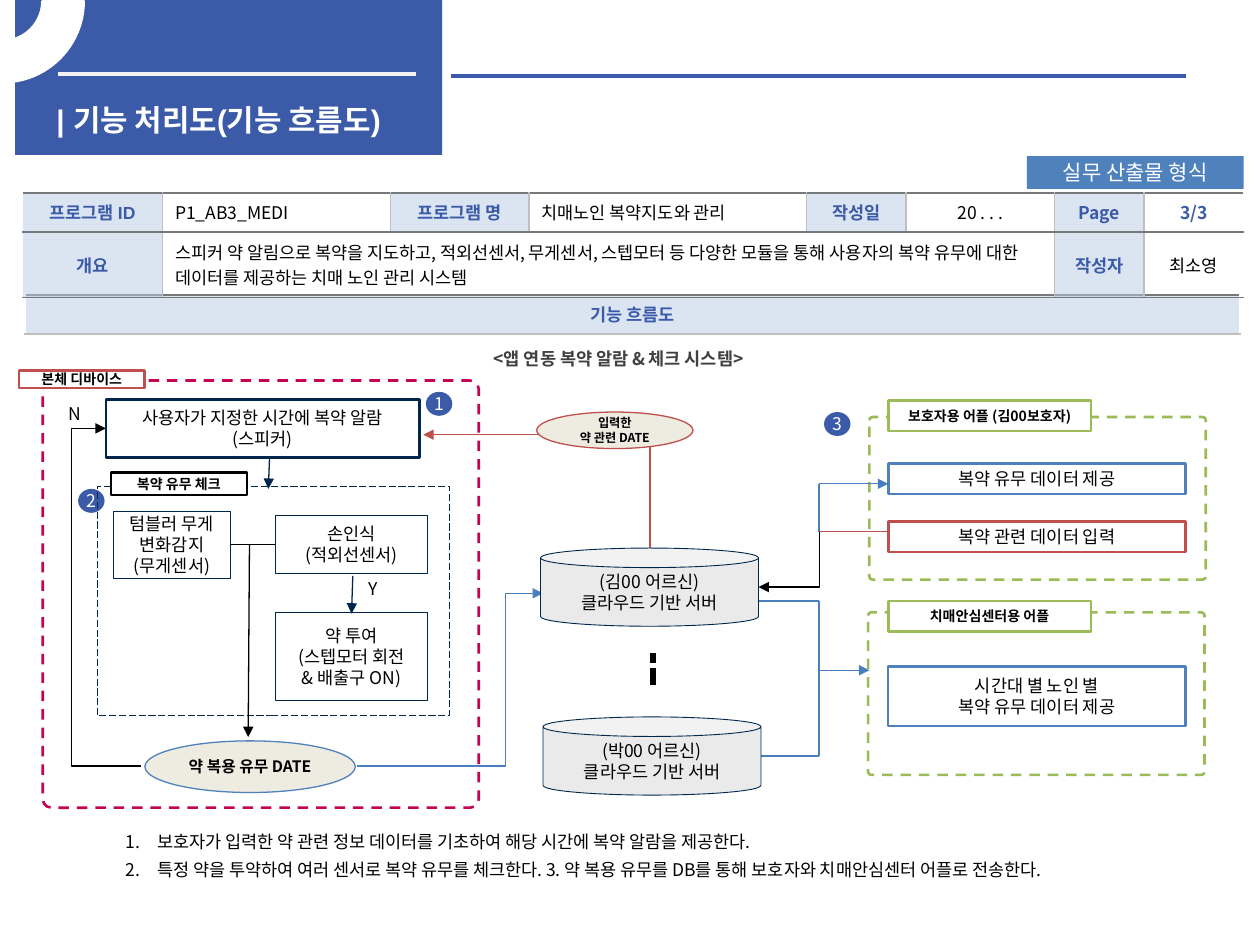
"""Build the slide on the function flow of a medication reminder system."""
from dataclasses import dataclass
from typing import Optional

from lxml import etree
from pptx import Presentation
from pptx import util as u
from pptx.dml.color import RGBColor
from pptx.enum import dml, shapes, text
from pptx.oxml import ns

BODY_FONT, HEAD_FONT = "Noto Sans CJK KR", "Arial"
BLUE, PALE_BLUE = RGBColor(0x3B, 0x5A, 0xA8), RGBColor(0xB9, 0xCD, 0xE5)
MID_BLUE, WIRE_BLUE = RGBColor(0x4F, 0x81, 0xBD), RGBColor(0x4B, 0x7E, 0xBC)
NAVY, GREEN = RGBColor(0x00, 0x26, 0x4C), RGBColor(0x9B, 0xBB, 0x59)
RED, CRIMSON = RGBColor(0xC0, 0x50, 0x4D), RGBColor(0xC4, 0x04, 0x52)
CREAM, SILVER = RGBColor(0xEE, 0xEC, 0xE1), RGBColor(0xEA, 0xEA, 0xEA)
WHITE, OFF_WHITE = RGBColor(0xFF, 0xFF, 0xFF), RGBColor(0xF2, 0xF2, 0xF2)
BLACK, CHARCOAL = RGBColor(0, 0, 0), RGBColor(0x40, 0x40, 0x40)
GREY, LIGHT_GREY = RGBColor(0x77, 0x78, 0x7B), RGBColor(0xBF, 0xBF, 0xBF)
KIND, DASH = shapes.MSO_SHAPE, dml.MSO_LINE
LEFT, CENTER = text.PP_ALIGN.LEFT, text.PP_ALIGN.CENTER
TOP, MIDDLE = text.MSO_ANCHOR.TOP, text.MSO_ANCHOR.MIDDLE
WIDE_INSET, BOX_INSET, BADGE_INSET = (0.1, 0.05), (0.04, 0.04), (0.06, 0.06)


@dataclass
class Box:
    """A preset shape with optional text."""
    at: tuple[float, float, float, float]
    words: str = ""
    line: Optional[RGBColor] = None
    weight: float = 1.5
    fill: Optional[RGBColor] = None
    kind: shapes.MSO_SHAPE = KIND.RECTANGLE
    dash: Optional[dml.MSO_LINE] = None
    size: float = 10
    bold: bool = False
    color: RGBColor = BLACK
    inset: tuple[float, float] = BOX_INSET
    wrap: bool = True
    adjustments: tuple[float, ...] = ()


@dataclass
class Wire:
    """A connector, bent when a preset is named."""
    start: tuple[float, float]
    end: tuple[float, float]
    color: RGBColor = WIRE_BLUE
    weight: float = 0.75
    head: bool = False
    tail: bool = False
    bend: str = ""
    adjust: Optional[float] = None
    dash: Optional[dml.MSO_LINE] = None


@dataclass
class Cell:
    """A table cell, either a shaded heading or a plain value."""
    words: str = ""
    shaded: bool = False
    font: str = BODY_FONT
    color: RGBColor = BLACK
    align: text.PP_ALIGN = CENTER
    bold: bool = False


def heading(words: str, font: str = BODY_FONT) -> Cell:
    """Return a shaded heading cell."""
    return Cell(words, True, font, BLUE, bold=True)


def label(at: tuple[float, float, float, float], words: str, line: RGBColor) -> Box:
    """Return the small name plate of a frame."""
    return Box(at, words, line, fill=WHITE, size=8, bold=True, inset=WIDE_INSET)


def frame(at: tuple[float, float, float, float], line: RGBColor) -> Box:
    """Return a dashed rounded frame."""
    return Box(at, line=line, kind=KIND.ROUNDED_RECTANGLE, dash=DASH.DASH, adjustments=(0.02,))


def badge(left: float, top: float, number: str) -> Box:
    """Return a numbered dot."""
    return Box((left, top, 0.21, 0.19), number, fill=BLUE, kind=KIND.OVAL, color=WHITE, inset=BADGE_INSET, wrap=False)


def server(left: float, top: float, person: str) -> Box:
    """Return a cloud server drum."""
    return Box((left, top, 1.73, 0.62), f"({person} 어르신)\n클라우드 기반 서버", NAVY, 0.5, SILVER, KIND.CAN,
               adjustments=(0.25,))


def write_text(text_frame, words: str, *, size: float = 10, font: str = BODY_FONT, color: RGBColor = BLACK,
               bold: bool = False, align=LEFT, anchor=TOP, inset=WIDE_INSET, wrap: bool = True,
               spacing: float = 1.0, before: float = 0, numbered: bool = False) -> None:
    """Fill a text frame with one paragraph per line of words."""
    text_frame.word_wrap, text_frame.vertical_anchor = wrap, anchor
    text_frame.margin_left = text_frame.margin_right = u.Inches(inset[0])
    text_frame.margin_top = text_frame.margin_bottom = u.Inches(inset[1])
    for index, line in enumerate(words.split("\n")):
        paragraph = text_frame.add_paragraph() if index else text_frame.paragraphs[0]
        paragraph.alignment, paragraph.line_spacing = align, spacing
        if index and before:
            paragraph.space_before = u.Pt(before)
        if numbered:
            properties = paragraph._p.get_or_add_pPr()
            properties.set("marL", str(u.Inches(0.25)))
            properties.set("indent", str(u.Inches(-0.25)))
            etree.SubElement(properties, ns.qn("a:buAutoNum"), type="arabicPeriod")
        run = paragraph.add_run()
        run.text = line
        run.font.size, run.font.bold, run.font.name = u.Pt(size), bold, font
        run.font.color.rgb = color
        etree.SubElement(run._r.rPr, ns.qn("a:ea"), typeface=BODY_FONT)


def draw_box(slide, box: Box):
    """Draw a box and return its shape."""
    shape = slide.shapes.add_shape(box.kind, *map(u.Inches, box.at))
    shape.shadow.inherit = False
    for index, value in enumerate(box.adjustments):
        shape.adjustments[index] = value
    for paint, color in ((shape.fill, box.fill), (shape.line.fill, box.line)):
        if color is None:
            paint.background()
        else:
            paint.solid()
            paint.fore_color.rgb = color
    if box.line is not None:
        shape.line.width, shape.line.dash_style = u.Pt(box.weight), box.dash
    if box.words:
        write_text(shape.text_frame, box.words, size=box.size, bold=box.bold, color=box.color,
                   align=CENTER, anchor=MIDDLE, inset=box.inset, wrap=box.wrap)
    return shape


def draw_wire(slide, wire: Wire) -> None:
    """Draw a straight or bent connector."""
    kind = shapes.MSO_CONNECTOR.ELBOW if wire.bend else shapes.MSO_CONNECTOR.STRAIGHT
    connector = slide.shapes.add_connector(kind, *map(u.Inches, wire.start + wire.end))
    connector.line.color.rgb, connector.line.width = wire.color, u.Pt(wire.weight)
    connector.line.dash_style = wire.dash
    properties = connector._element.spPr
    geometry = properties.find(ns.qn("a:prstGeom"))
    if wire.bend:
        geometry.set("prst", wire.bend)
    if wire.adjust is not None:
        etree.SubElement(geometry.find(ns.qn("a:avLst")), ns.qn("a:gd"), name="adj1",
                         fmla=f"val {round(wire.adjust * 100000)}")
    for tag, shown in (("a:headEnd", wire.head), ("a:tailEnd", wire.tail)):
        if shown:
            etree.SubElement(properties.find(ns.qn("a:ln")), ns.qn(tag), type="triangle")
    etree.SubElement(properties, ns.qn("a:effectLst"))


def fill_cell(cell, content: Cell, **borders: RGBColor) -> None:
    """Give a table cell its borders, fill and text."""
    properties = cell._tc.get_or_add_tcPr()
    for side in "LRTB":
        line = etree.SubElement(properties, ns.qn(f"a:ln{side}"), w=str(u.Pt(1)))
        paint = etree.SubElement(line, ns.qn("a:solidFill"))
        etree.SubElement(paint, ns.qn("a:srgbClr"), val=str(borders[side]))
    cell.fill.background()
    if content.shaded:
        cell.fill.solid()
        cell.fill.fore_color.rgb = PALE_BLUE
        etree.SubElement(properties.find(ns.qn("a:solidFill"))[0], ns.qn("a:alpha"), val="50000")
    if content.words:
        write_text(cell.text_frame, content.words, font=content.font, color=content.color, bold=content.bold,
                   align=content.align)
    cell.vertical_anchor = MIDDLE


def add_grid(slide, left: float, top: float, columns: list[float], rows: list[float]):
    """Add an unbanded table with the given column widths and row heights."""
    size = map(u.Inches, (left, top, sum(columns), sum(rows)))
    table = slide.shapes.add_table(len(rows), len(columns), *size).table
    table.first_row = table.horz_banding = False
    for column, width in zip(table.columns, columns):
        column.width = u.Inches(width)
    for row, height in zip(table.rows, rows):
        row.height = u.Inches(height)
    return table


def draw_tables(slide) -> None:
    """Draw the flow panel and the program details."""
    panel = add_grid(slide, 0.2, 2.34, [9.64], [0.31, 4.15])
    fill_cell(panel.cell(0, 0), heading("기능 흐름도"), L=WHITE, R=WHITE, T=GREY, B=LIGHT_GREY)
    fill_cell(panel.cell(1, 0), Cell(), L=WHITE, R=WHITE, T=LIGHT_GREY, B=WHITE)
    details = add_grid(slide, 0.18, 1.53, [1.11, 1.81, 1.1, 2.2, 0.79, 1.18, 0.71, 0.79], [0.31, 0.52])
    details.cell(1, 1).merge(details.cell(1, 5))
    overview = "스피커 약 알림으로 복약을 지도하고, 적외선센서, 무게센서, 스텝모터 등 다양한 모듈을 통해 사용자의 복약 유무에 대한 데이터를 제공하는 치매 노인 관리 시스템"
    contents = [
        [heading("프로그램 ID", HEAD_FONT), Cell("P1_AB3_MEDI", align=LEFT), heading("프로그램 명"),
         Cell("치매노인 복약지도와 관리", align=LEFT), heading("작성일"), Cell("20 . . ."), heading("Page"),
         Cell("3/3", color=BLUE, bold=True)],
        [heading("개요", HEAD_FONT), Cell(overview, align=LEFT), *[Cell()] * 4, heading("작성자"), Cell("최소영")]]
    for row, cells in enumerate(contents):
        for column, content in enumerate(cells):
            fill_cell(details.cell(row, column), content, L=LIGHT_GREY if column else WHITE,
                      R=WHITE if column == 7 else LIGHT_GREY, T=GREY, B=GREY)


FRAMES = [frame((6.9, 3.31, 2.67, 1.29), GREEN), frame((6.89, 4.86, 2.67, 1.29), GREEN),
          frame((0.34, 3.02, 3.46, 3.39), CRIMSON), badge(0.62, 3.88, "2"), badge(3.38, 3.11, "1"),
          badge(6.54, 3.27, "3"), Box((0.77, 3.86, 2.8, 1.82), line=NAVY, weight=0.5, dash=DASH.LONG_DASH)]
WIRES = [
    Wire((0.46, 0.59), (3.3, 0.59), OFF_WHITE, 2.25), Wire((3.58, 0.6), (9.41, 0.6), BLUE, 2.25),
    Wire((2.14, 3.62), (2.13, 3.88), NAVY, tail=True), Wire((2.8, 4.57), (2.79, 4.87), NAVY, tail=True),
    Wire((2.18, 4.32), (1.83, 4.32), BLACK), Wire((1.98, 4.32), (1.97, 5.85), BLACK, tail=True),
    Wire((1.12, 6.08), (0.84, 3.4), BLACK, tail=True, bend="bentConnector3", adjust=1.98),
    Wire((2.83, 6.08), (4.31, 4.71), tail=True, bend="bentConnector3", adjust=0.8),
    Wire((6.02, 4.77), (6.5, 4.77)), Wire((6.5, 3.84), (7.05, 3.84), tail=True), Wire((6.5, 4.77), (6.5, 6)),
    Wire((6.5, 5.32), (6.9, 5.32), tail=True), Wire((6.04, 6), (6.5, 6)),
    Wire((5.18, 5.44), (5.18, 5.18), BLACK, 3.25, dash=DASH.SQUARE_DOT),
    Wire((6.02, 4.66), (6.5, 4.22), BLACK, head=True, bend="bentConnector3", adjust=1.01),
    Wire((7.05, 4.22), (6.5, 4.22), RED), Wire((6.5, 4.22), (6.5, 3.84)),
    Wire((3.36, 3.45), (5.16, 4.35), RED, head=True, bend="bentConnector2")]
BOXES = [
    Box((8.15, 1.24, 1.72, 0.26), "실무 산출물 형식", fill=MID_BLUE, size=12, color=WHITE, inset=WIDE_INSET),
    Box((0.84, 3.17, 2.49, 0.46), "사용자가 지정한 시간에 복약 알람\n(스피커)", NAVY),
    Box((0.9, 4.06, 0.93, 0.53), "텀블러 무게 변화감지\n(무게센서)", NAVY, 0.5),
    Box((2.19, 4.09, 1.2, 0.46), "손인식\n(적외선센서)", NAVY, 0.5),
    Box((2.19, 4.86, 1.2, 0.7), "약 투여\n(스텝모터 회전\n& 배출구 ON)", NAVY, 0.5),
    server(4.29, 4.35, "김00"), server(4.31, 5.69, "박00"),
    Box((7.05, 3.68, 2.36, 0.24), "복약 유무 데이터 제공", MID_BLUE),
    Box((7.05, 4.14, 2.36, 0.24), "복약 관련 데이터 입력", RED),
    Box((7.05, 5.29, 2.36, 0.47), "시간대 별 노인 별\n복약 유무 데이터 제공", MID_BLUE, 1.25),
    label((0.88, 3.75, 1.08, 0.18), "복약 유무 체크", BLACK), label((0.15, 2.94, 1, 0.14), "본체 디바이스", RED),
    label((7.05, 3.18, 1.61, 0.24), "보호자용 어플 (김00보호자)", GREEN),
    label((7.05, 4.77, 1.61, 0.24), "치매안심센터용 어플", GREEN),
    Box((4.26, 3.27, 1.24, 0.29), "입력한\n약 관련 DATE", RED, 0.75, CREAM, KIND.OVAL, None, 7, True, inset=WIDE_INSET),
    Box((1.15, 5.88, 1.67, 0.41), "약 복용 유무 DATE", MID_BLUE, 0.75, CREAM, KIND.OVAL, None, 9, True, inset=WIDE_INSET)]
NOTES = ("보호자가 입력한 약 관련 정보 데이터를 기초하여 해당 시간에 복약 알람을 제공한다.\n"
         "특정 약을 투약하여 여러 센서로 복약 유무를 체크한다. 3. 약 복용 유무를 DB를 통해 보호자와 치매안심센터 어플로 전송한다.")
TEXTS = [
    ((0.35, 0.76, 3.07, 0.32), "| 기능 처리도(기능 흐름도)", dict(size=17, font=HEAD_FONT, color=WHITE, bold=True)),
    ((0.9, 6.51, 9.2, 0.52), NOTES, dict(spacing=1.2, before=2, numbered=True)),
    ((2.83, 4.54, 0.27, 0.33), "Y", dict(align=CENTER, wrap=False)),
    ((0.42, 3.15, 0.34, 0.28), "N", dict(align=CENTER, wrap=False)),
    ((3.82, 2.68, 5.43, 0.28), "<앱 연동 복약 알람 & 체크 시스템>", dict(color=CHARCOAL, bold=True, spacing=1.2))]


def main() -> None:
    """Build and save the presentation."""
    presentation = Presentation()
    presentation.slide_width, presentation.slide_height = u.Inches(10), u.Inches(7.5)
    slide = presentation.slides.add_slide(presentation.slide_layouts[6])
    draw_tables(slide)
    draw_box(slide, Box((0.12, 0, 3.39, 1.23), fill=BLUE))
    arc = draw_box(slide, Box((-0.63, -0.63, 1.29, 1.28), line=WHITE, weight=2, fill=WHITE, kind=KIND.BLOCK_ARC,
                              adjustments=(161.59, 0, 0.25)))
    arc._element.spPr.find(ns.qn("a:xfrm")).set("flipV", "1")
    for box in FRAMES:
        draw_box(slide, box)
    for wire in WIRES:
        draw_wire(slide, wire)
    for box in BOXES:
        draw_box(slide, box)
    for at, words, style in TEXTS:
        write_text(slide.shapes.add_textbox(*map(u.Inches, at)).text_frame, words, **style)
    presentation.save("out.pptx")


if __name__ == "__main__":
    main()
